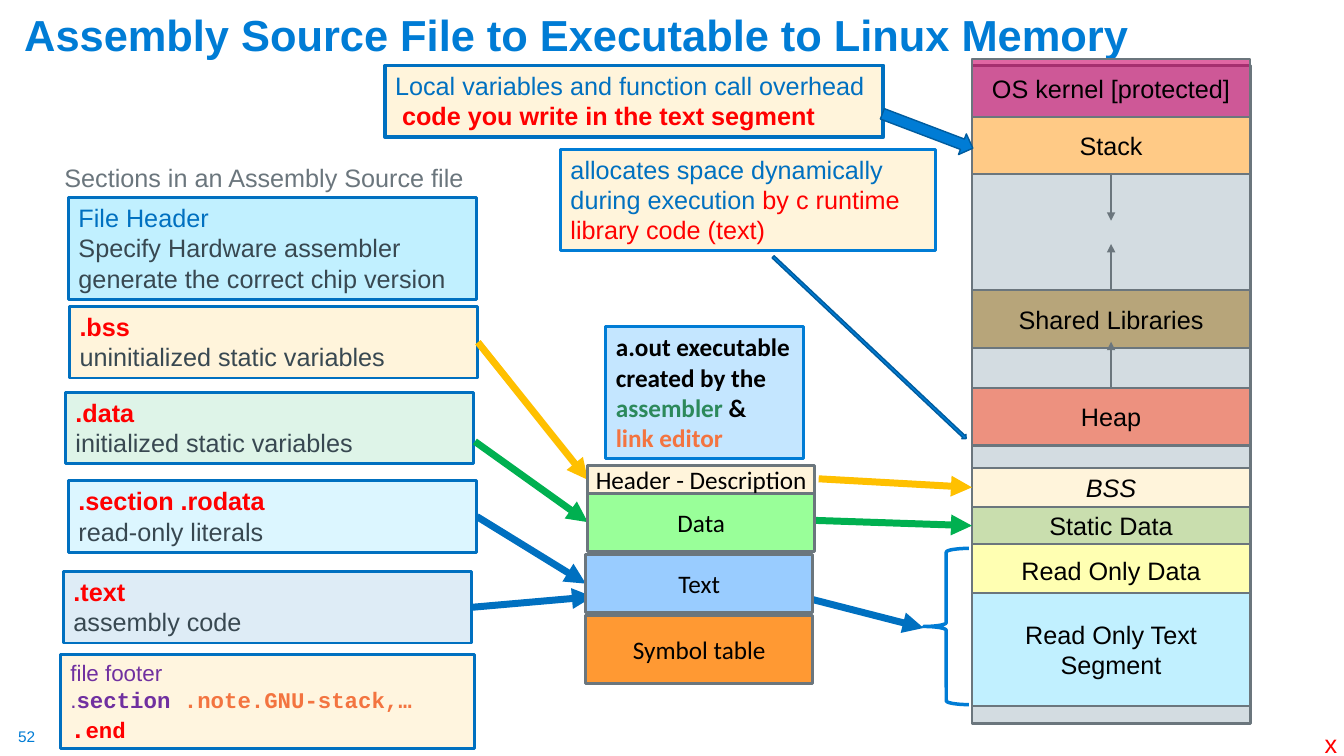
import pptx
import pptx.dml.color
import pptx.enum.shapes
import pptx.enum.text
import pptx.oxml
import pptx.oxml.ns
import pptx.util

SHAPE = pptx.enum.shapes.MSO_SHAPE
ALIGN = pptx.enum.text.PP_ALIGN
ANCHOR = pptx.enum.text.MSO_ANCHOR
TOP, LEFT, BOTTOM, RIGHT = range(4)
SLIDE_WIDTH, SLIDE_HEIGHT = 13.33, 7.5

COLORS = {
    "brand": "007CD5", "brand dark": "005C9E", "blue": "0070C0", "red": "FF0000",
    "grey": "6B767D", "ink": "384851", "black": "000000", "purple": "7030A0",
    "orange": "F37440", "forest": "2C895B", "gold": "FFC000", "green": "00B050",
    "cream": "FFF4DB", "ice": "C1F0FF", "panel": "D3DCE1", "magenta": "CC0066",
    "peach": "FFCA86", "salmon": "ED917F", "sage": "C9DEAE", "khaki": "B7A57A",
    "lemon": "FFFFB2", "sky": "99CCFF", "tangerine": "FF9933", "mint": "99FF99",
    "pale blue": "C4E6FF",
}


def style(color, size=18, name="Arial", bold=False, italic=False):
    return color, {"size": pptx.util.Pt(size), "name": name, "bold": bold, "italic": italic}


STYLES = {
    "title": style("brand", 31, bold=True),
    "number": style("brand", 11),
    "blue": style("blue"),
    "red": style("red"),
    "red bold": style("red", bold=True),
    "grey": style("grey"),
    "ink": style("ink"),
    "black": style("black"),
    "italic": style("black", italic=True),
    "part": style("black", name="Calibri"),
    "tool": style("black", name="Calibri", bold=True),
    "assembler": style("forest", name="Calibri", bold=True),
    "linker": style("orange", name="Calibri", bold=True),
    "footer": style("purple", 16),
    "code": style("purple", 16, "Courier New", True),
    "code note": style("orange", 16, "Courier New", True),
    "code dot": style("red", 18, "Courier New", True),
    "code end": style("red", 16, "Courier New", True),
}

TITLE = "Assembly Source File to Executable to Linux Memory"
TITLE_PLACE = (0.14, 0.21, 13.04, 0.44)

NOTES = [
    ((0.18, 7.21, 0.3, 0.19), 0, [[("52", "number")]]),
    ((13.04, 7.18, 0.33, 0.4), 0.1, [[("x", "red")]]),
    ((0.54, 1.56, 4.21, 0.4), 0.1, [[("Sections in an Assembly Source file", "grey")]]),
]

CARDS = [
    ((3.82, 0.65, 4.94, 0.71), "cream", 100, "blue", 2.75, [
        [("Local variables and function call overhead", "blue")],
        [(" ", "red"), ("code you write in the text segment", "red bold")]]),
    ((5.56, 1.48, 3.72, 1.01), "cream", 100, "brand", 2.25, [
        [("allocates space dynamically during execution ", "blue"),
         ("by c runtime library code (text)", "red")]]),
    ((0.68, 1.96, 4.05, 1.01), "ice", 100, "blue", 2, [
        [("File Header", "blue")],
        [("Specify Hardware assembler generate the correct chip version", "ink")]]),
    ((0.6, 6.49, 4.11, 0.94), "cream", 88, "blue", 2, [
        [("file footer", "footer")],
        [(".", "footer"), ("section ", "code"), (".note.GNU-stack,…", "code note")],
        [(".", "code dot"), ("end", "code end")]]),
    ((6.01, 3.24, 1.96, 1.31), "pale blue", 100, "brand", 2.25, [
        [("a.out executable", "tool")],
        [("created by the ", "tool"), ("assembler", "assembler"), (" &", "tool")],
        [("link editor", "linker")]]),
]

SECTION_WIDTH, SECTION_HEIGHT = 4.05, 0.71
SECTIONS = [
    (".bss", "uninitialized static variables", 0.69, 3.04, "cream", 100),
    (".data", "initialized static variables", 0.65, 3.89, "green", 13),
    (".section .rodata", "read-only literals", 0.68, 4.77, "ice", 56),
    (".text", "assembly code", 0.63, 5.67, "blue", 13),
]

MEMORY_LEFT, MEMORY_WIDTH = 9.64, 2.76
MEMORY_CENTER = MEMORY_LEFT + MEMORY_WIDTH / 2
MEMORY_PANEL = (MEMORY_LEFT, 0.65, MEMORY_WIDTH, 6.53)
REGIONS = [
    ("OS kernel [protected]", 0.59, 0.57, "magenta", 60, "black"),
    ("Stack", 1.16, 0.57, "peach", 100, "black"),
    ("Heap", 3.85, 0.57, "salmon", 100, "black"),
    ("Static Data", 5.02, 0.39, "sage", 100, "black"),
    ("Shared Libraries", 2.88, 0.57, "khaki", 100, "black"),
    ("Read Only Data", 5.4, 0.52, "lemon", 100, "black"),
    ("Read Only Text Segment", 5.88, 1.12, "ice", 100, "black"),
    ("BSS", 4.64, 0.39, "cream", 100, "italic"),
]

PART_WIDTH = 2.25
PARTS = [
    ("Text", 5.81, 5.5, 0.58, "sky"),
    ("Symbol table", 5.81, 6.11, 0.67, "tangerine"),
    ("Data", 5.83, 4.89, 0.58, "mint"),
    ("Header - Description", 5.83, 4.62, 0.28, "cream"),
]

GROWTH = [
    (("Stack", BOTTOM), (MEMORY_CENTER, 2.19), "grey", 2),
    (("Shared Libraries", TOP), (MEMORY_CENTER, 2.42), "grey", 2),
    (("Heap", TOP), (MEMORY_CENTER, 3.39), "grey", 2),
]
LINKS = [
    ((".bss", RIGHT), ("Header - Description", LEFT), "gold", 5),
    ((4.71, 4.38), ("Data", LEFT), "green", 5),
    ((".section .rodata", RIGHT), ("Text", LEFT), "blue", 5),
    ((".text", RIGHT), (5.88, 5.92), "blue", 5),
    ((6.51, 5.11), ("Static Data", LEFT), "green", 5),
    ((6.78, 5.62), (9.16, 6.23), "blue", 5),
    ((8.12, 4.75), ("BSS", LEFT), "gold", 5),
]
POINTERS = [
    ((8.72, 1.19, 0.96, 0.22), 20.8),
    ((7.31, 3.42, 2.63, 0.06), 43.3),
]
BRACE_PLACE = (9.16, 5.44, 0.45, 1.55)

deck = pptx.Presentation()
deck.slide_width = pptx.util.Inches(SLIDE_WIDTH)
deck.slide_height = pptx.util.Inches(SLIDE_HEIGHT)
page = deck.slides.add_slide(deck.slide_layouts[5])
boxes = {}
joins = []


def inches(lengths):
    return [pptx.util.Inches(length) for length in lengths]


def rgb(color):
    return pptx.dml.color.RGBColor.from_string(COLORS[color])


def write(box, paragraphs, align=ALIGN.LEFT, anchor=ANCHOR.TOP, wrap=True, inset=0.1):
    frame = box.text_frame
    side, end = inches((inset, inset / 2))
    formats = {"word_wrap": wrap, "vertical_anchor": anchor,
               "auto_size": pptx.enum.text.MSO_AUTO_SIZE.NONE,
               "margin_left": side, "margin_right": side,
               "margin_top": end, "margin_bottom": end}
    for key, value in formats.items():
        setattr(frame, key, value)
    for index, runs in enumerate(paragraphs):
        para = frame.add_paragraph() if index else frame.paragraphs[0]
        para.alignment = align
        for text, key in runs:
            span = para.add_run()
            span.text = text
            color, font = STYLES[key]
            for name, value in font.items():
                setattr(span.font, name, value)
            span.font.color.rgb = rgb(color)


def draw(kind, place, fill, line, width, opacity=100):
    box = page.shapes.add_shape(kind, *inches(place))
    box.shadow.inherit = False
    if fill:
        box.fill.solid()
        box.fill.fore_color.rgb = rgb(fill)
        if opacity < 100:
            tint = box.fill._xPr.find(".//" + pptx.oxml.ns.qn("a:srgbClr"))
            alpha = pptx.oxml.parse_xml(
                f'<a:alpha {pptx.oxml.ns.nsdecls("a")} val="{opacity * 1000}"/>')
            tint.append(alpha)
    else:
        box.fill.background()
    box.line.color.rgb = rgb(line)
    box.line.width = pptx.util.Pt(width)
    return box


def connect(start, end, color, width):
    points = [(0, 0) if isinstance(point[0], str) else point for point in (start, end)]
    arrow = page.shapes.add_connector(
        pptx.enum.shapes.MSO_CONNECTOR.STRAIGHT, *inches(points[0] + points[1]))
    arrow.line.color.rgb = rgb(color)
    arrow.line.width = pptx.util.Pt(width)
    namespace = pptx.oxml.ns.nsdecls("a")
    arrow.line._get_or_add_ln().append(
        pptx.oxml.parse_xml(f'<a:tailEnd {namespace} type="triangle"/>'))
    arrow._element.spPr.append(pptx.oxml.parse_xml(f"<a:effectLst {namespace}/>"))
    for point, join in ((start, arrow.begin_connect), (end, arrow.end_connect)):
        if isinstance(point[0], str):
            joins.append((join, point))


title = page.shapes.title
title.left, title.top, title.width, title.height = inches(TITLE_PLACE)
write(title, [[(TITLE, "title")]], anchor=ANCHOR.BOTTOM)
title.text_frame.paragraphs[0].line_spacing = 0.9

for place, inset, paragraphs in NOTES:
    write(page.shapes.add_textbox(*inches(place)), paragraphs, wrap=False, inset=inset)

for place, fill, opacity, line, width, paragraphs in CARDS:
    write(draw(SHAPE.RECTANGLE, place, fill, line, width, opacity), paragraphs)

draw(SHAPE.RECTANGLE, MEMORY_PANEL, "panel", "grey", 2)
for name, top, height, fill, opacity, key in REGIONS:
    place = (MEMORY_LEFT, top, MEMORY_WIDTH, height)
    boxes[name] = draw(SHAPE.RECTANGLE, place, fill, "grey", 1.5, opacity)
    write(boxes[name], [[(name, key)]], ALIGN.CENTER, ANCHOR.MIDDLE)

for name, detail, left, top, fill, opacity in SECTIONS:
    place = (left, top, SECTION_WIDTH, SECTION_HEIGHT)
    boxes[name] = draw(SHAPE.RECTANGLE, place, fill, "blue", 2, opacity)
    write(boxes[name], [[(name, "red bold")], [(detail, "ink")]])

for link in GROWTH + LINKS:
    connect(*link)

for place, angle in POINTERS:
    draw(SHAPE.RIGHT_ARROW, place, "brand", "brand dark", 1).rotation = angle

for name, left, top, height, fill in PARTS:
    place = (left, top, PART_WIDTH, height)
    boxes[name] = draw(SHAPE.RECTANGLE, place, fill, "grey", 2.25)
    write(boxes[name], [[(name, "part")]], ALIGN.CENTER, ANCHOR.MIDDLE, wrap=False)

draw(SHAPE.LEFT_BRACE, BRACE_PLACE, None, "brand", 2.5)

for join, (name, side) in joins:
    join(boxes[name], side)

deck.save("out.pptx")
